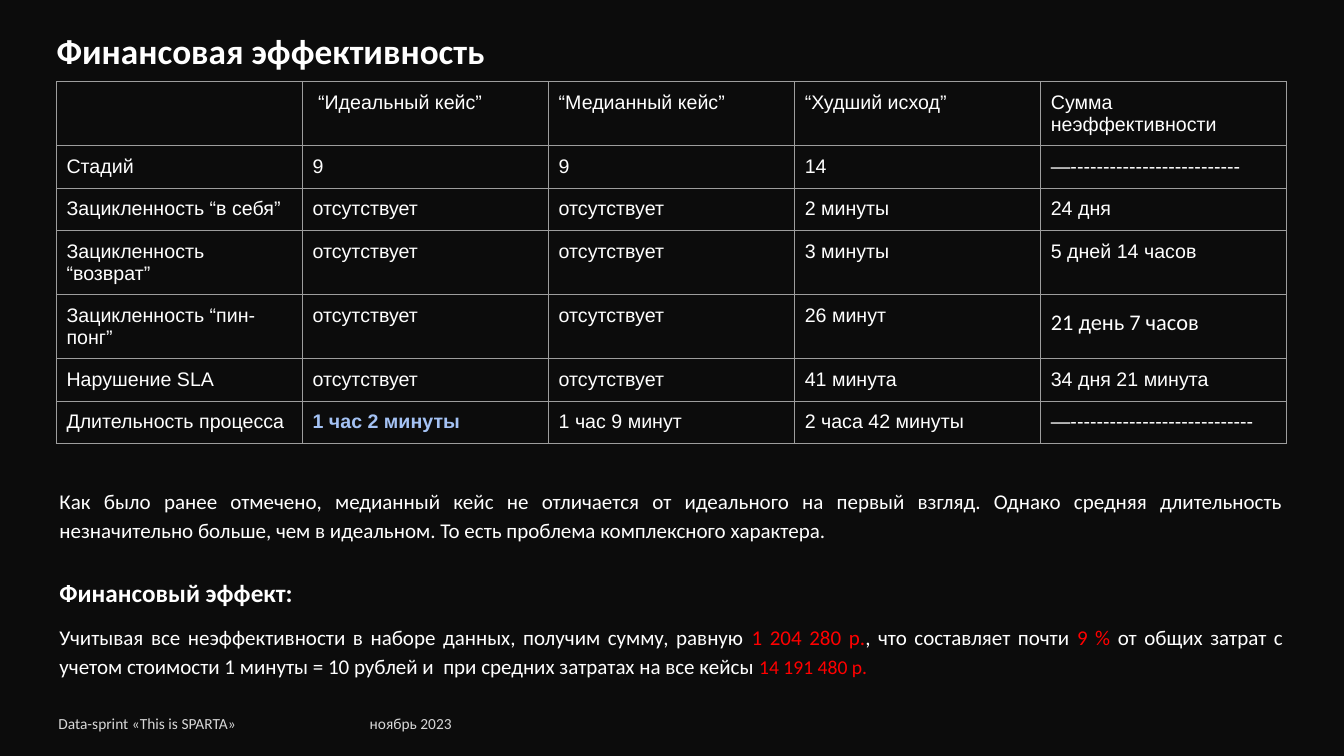
"""Build the financial efficiency slide."""
from lxml import etree
from pptx import Presentation
from pptx.dml.color import RGBColor
from pptx.enum.text import MSO_ANCHOR, MSO_AUTO_SIZE, PP_ALIGN
from pptx.oxml.ns import qn
from pptx.util import Pt

LEFT, JUST = PP_ALIGN.LEFT, PP_ALIGN.JUSTIFY
MIDDLE, TOP = MSO_ANCHOR.MIDDLE, MSO_ANCHOR.TOP
FIXED = MSO_AUTO_SIZE.NONE
HEX = {"back": "0C0C0C", "text": "FFFFFF", "foot": "D8D8D8",
       "grid": "9E9E9E", "red": "FF0000", "blue": "A4C2F4"}


def write(para, text, size=15, font="Calibri", color="text", bold=False,
          align=LEFT, space=None, before=0):
    para.alignment = align
    para.space_before = Pt(before)
    if space:
        para.line_spacing = space
    run = para.add_run()
    run.text = text
    run.font.size, run.font.name, run.font.bold = Pt(size), font, bold
    run.font.color.rgb = RGBColor.from_string(HEX[color])


def frame(shape, x, y, w, h, side=7.2, edge=3.6, anchor=TOP):
    shape.left, shape.top, shape.width, shape.height = Pt(x), Pt(y), Pt(w), Pt(h)
    box = shape.text_frame
    box.word_wrap, box.auto_size, box.vertical_anchor = True, FIXED, anchor
    box.margin_left = box.margin_right = Pt(side)
    box.margin_top = box.margin_bottom = Pt(edge)
    return box


deck = Presentation()
deck.slide_width, deck.slide_height = Pt(960), Pt(540)
slide = deck.slides.add_slide(deck.slide_layouts[5])
slide.background.fill.solid()
slide.background.fill.fore_color.rgb = RGBColor.from_string(HEX["back"])

title = frame(slide.shapes.title, 33.2, 26.5, 502.6, 23, anchor=MIDDLE)
write(title.paragraphs[0], "Финансовая эффективность", size=25.2, bold=True,
      space=0.9)

for text, x, w in [("Data-sprint «This is SPARTA»", 34.6, 169.2),
                   ("ноябрь 2023", 257, 81.4)]:
    foot = frame(slide.shapes.add_textbox(0, 0, 0, 0), x, 506.2, w, 21)
    write(foot.paragraphs[0], text, size=11, color="foot")

NONE = "отсутствует"
ROWS = [
    ["", " “Идеальный кейс”", "“Медианный кейс”", "“Худший исход”",
     "Сумма неэффективности"],
    ["Стадий", "9", "9", "14", "—--------------------------"],
    ["Зацикленность “в себя”", NONE, NONE, "2 минуты", "24 дня"],
    ["Зацикленность “возврат”", NONE, NONE, "3 минуты", "5 дней 14 часов"],
    ["Зацикленность “пин-понг”", NONE, NONE, "26 минут", "21 день 7 часов"],
    ["Нарушение SLA", NONE, NONE, "41 минута", "34 дня 21 минута"],
    ["Длительность процесса", "1 час 2 минуты", "1 час 9 минут",
     "2 часа 42 минуты", "—----------------------------"],
]
TALL = (0, 3, 4)
STYLE = {
    (4, 4): dict(size=16, font="Calibri", align=JUST, space=1.15),
    (6, 1): dict(color="blue", bold=True),
}
table = slide.shapes.add_table(len(ROWS), len(ROWS[0]), Pt(40.3), Pt(58.2),
                               Pt(879), Pt(258.6)).table
table.first_row = table.horz_banding = False
for col in table.columns:
    col.width = Pt(175.8)
for r, row in enumerate(ROWS):
    table.rows[r].height = Pt(45.8 if r in TALL else 30.2)
    for c, text in enumerate(row):
        cell = table.cell(r, c)
        cell.margin_left = cell.margin_right = Pt(7.2)
        cell.margin_top = cell.margin_bottom = Pt(7.2)
        props = cell._tc.get_or_add_tcPr()
        for side in ("lnL", "lnR", "lnT", "lnB"):
            line = etree.SubElement(props, qn("a:" + side), w=str(Pt(0.75)))
            fill = etree.SubElement(line, qn("a:solidFill"))
            etree.SubElement(fill, qn("a:srgbClr"), val=HEX["grid"])
        cell.fill.background()
        if text:
            look = dict(size=14, font="Arial") | STYLE.get((r, c), {})
            write(cell.text_frame.paragraphs[0], text, **look)

body = frame(slide.shapes.add_textbox(0, 0, 0, 0), 40.3, 344.2, 878.4, 141.1,
             side=2.2, edge=2.2)
write(body.paragraphs[0],
      "Как было ранее отмечено, медианный кейс не отличается от идеального на "
      "первый взгляд. Однако средняя длительность незначительно больше, чем в "
      "идеальном. То есть проблема комплексного характера.",
      align=JUST, space=1.15)
write(body.add_paragraph(), "Финансовый эффект:", size=18, bold=True,
      align=JUST, space=1.15, before=21)
total = body.add_paragraph()
for text, color, size in [
    ("Учитывая все неэффективности в наборе данных, получим сумму, равную ",
     "text", 15),
    ("1 204 280 р.", "red", 15),
    (", что составляет почти ", "text", 15),
    ("9 %", "red", 15),
    (" от общих затрат с учетом стоимости 1 минуты = 10 рублей и  при средних "
     "затратах на все кейсы ", "text", 15),
    ("14 191 480 р.", "red", 14),
]:
    write(total, text, size=size, color=color, align=JUST, space=1.15, before=10)

deck.save("out.pptx")
